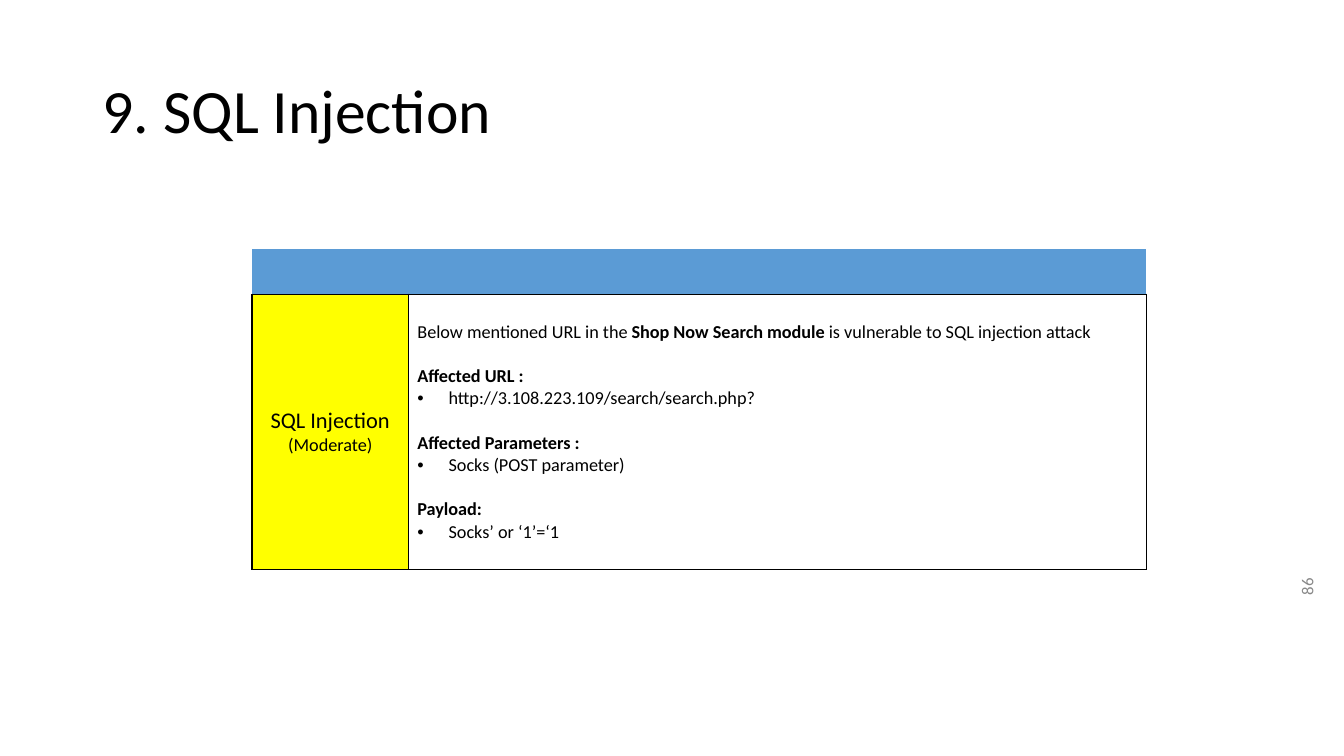
from lxml.etree import SubElement
from pptx import Presentation
from pptx.dml.color import RGBColor
from pptx.enum.text import MSO_ANCHOR, PP_ALIGN
from pptx.oxml.ns import qn
from pptx.util import Inches, Pt

BLACK = RGBColor(0x00, 0x00, 0x00)
GREY = RGBColor(0x88, 0x88, 0x88)
BLUE = RGBColor(0x5B, 0x9B, 0xD5)
YELLOW = RGBColor(0xFF, 0xFF, 0x00)
WHITE = RGBColor(0xFF, 0xFF, 0xFF)
SIDES = ("L", "R", "T", "B")
SECTIONS = [
    ("Affected URL :", "http://3.108.223.109/search/search.php?"),
    ("Affected Parameters :", "Socks (POST parameter)"),
    ("Payload:", "Socks’ or ‘1’=‘1"),
]


def add_run(paragraph, words, size, color=BLACK, bold=False):
    """Append one formatted run to a paragraph."""
    run = paragraph.add_run()
    run.text = words
    run.font.name = "Calibri"
    run.font.size = Pt(size)
    run.font.bold = bold
    run.font.color.rgb = color


def add_label(slide, words, left, top, width, height, size, color=BLACK):
    """Add a one-line, vertically centred text box and return it."""
    label = slide.shapes.add_textbox(
        Inches(left), Inches(top), Inches(width), Inches(height))
    label.text_frame.word_wrap = True
    label.text_frame.vertical_anchor = MSO_ANCHOR.MIDDLE
    add_run(label.text_frame.paragraphs[0], words, size, color)
    return label


def style_cell(cell, fill, lined_sides):
    """Fill a cell, outline the named sides and centre its text vertically."""
    properties = cell._tc.get_or_add_tcPr()
    for side in SIDES:
        border = SubElement(properties, qn(f"a:ln{side}"), w=str(Pt(1)))
        if side in lined_sides:
            solid = SubElement(border, qn("a:solidFill"))
            SubElement(solid, qn("a:srgbClr"), val=str(BLACK))
        else:
            SubElement(border, qn("a:noFill"))
    cell.fill.solid()
    cell.fill.fore_color.rgb = fill
    cell.vertical_anchor = MSO_ANCHOR.MIDDLE
    cell.margin_left = cell.margin_right = Inches(0.09)


def set_bullet(paragraph):
    """Give a paragraph a black bullet with a hanging indent."""
    properties = paragraph._p.get_or_add_pPr()
    properties.set("marL", str(Inches(0.31)))
    properties.set("indent", str(Inches(-0.31)))
    color = SubElement(properties, qn("a:buClr"))
    SubElement(color, qn("a:srgbClr"), val=str(BLACK))
    SubElement(properties, qn("a:buFont"), typeface="Arial")
    SubElement(properties, qn("a:buChar"), char="•")


def write_severity(frame):
    """Write the finding's name and severity."""
    name = frame.paragraphs[0]
    severity = frame.add_paragraph()
    name.alignment = severity.alignment = PP_ALIGN.CENTER
    add_run(name, "SQL Injection", 16)
    add_run(severity, "(Moderate)", 13)


def write_details(frame):
    """Write the summary and the headed, bulleted details."""
    summary = frame.paragraphs[0]
    add_run(summary, "Below mentioned URL in the ", 13)
    add_run(summary, "Shop Now Search module ", 13, bold=True)
    add_run(summary, "is vulnerable to SQL injection attack", 13)
    for heading, detail in SECTIONS:
        heading_line = frame.add_paragraph()
        heading_line.space_before = Pt(15.87)
        add_run(heading_line, heading, 13, bold=True)
        detail_line = frame.add_paragraph()
        set_bullet(detail_line)
        add_run(detail_line, detail, 13)


def add_finding_table(slide):
    """Add the table that describes the vulnerability."""
    finding = slide.shapes.add_table(
        2, 2, Inches(2.5), Inches(2.47), Inches(8.87), Inches(3.18)).table
    for column, width in zip(finding.columns, (1.55, 7.32)):
        column.width = Inches(width)
    for row, height in zip(finding.rows, (0.45, 2.73)):
        row.height = Inches(height)
    for column_index, fill in enumerate((YELLOW, WHITE)):
        style_cell(finding.cell(0, column_index), BLUE, "B")
        style_cell(finding.cell(1, column_index), fill, SIDES)
    write_severity(finding.cell(1, 0).text_frame)
    write_details(finding.cell(1, 1).text_frame)


def main():
    """Build and save the slide."""
    deck = Presentation()
    deck.slide_width, deck.slide_height = Inches(13.33), Inches(7.5)
    slide = deck.slides.add_slide(deck.slide_layouts[6])
    page_number = add_label(slide, "86", 12.24, 6.11, 1.44, 0.5, 12, GREY)
    page_number.rotation = 270
    page_number.text_frame.paragraphs[0].alignment = PP_ALIGN.RIGHT
    title = add_label(slide, "9. SQL Injection", 0.92, 0.4, 11.5, 1.45, 44)
    title.text_frame.paragraphs[0].line_spacing = 0.9
    add_finding_table(slide)
    deck.save("out.pptx")


if __name__ == "__main__":
    main()
